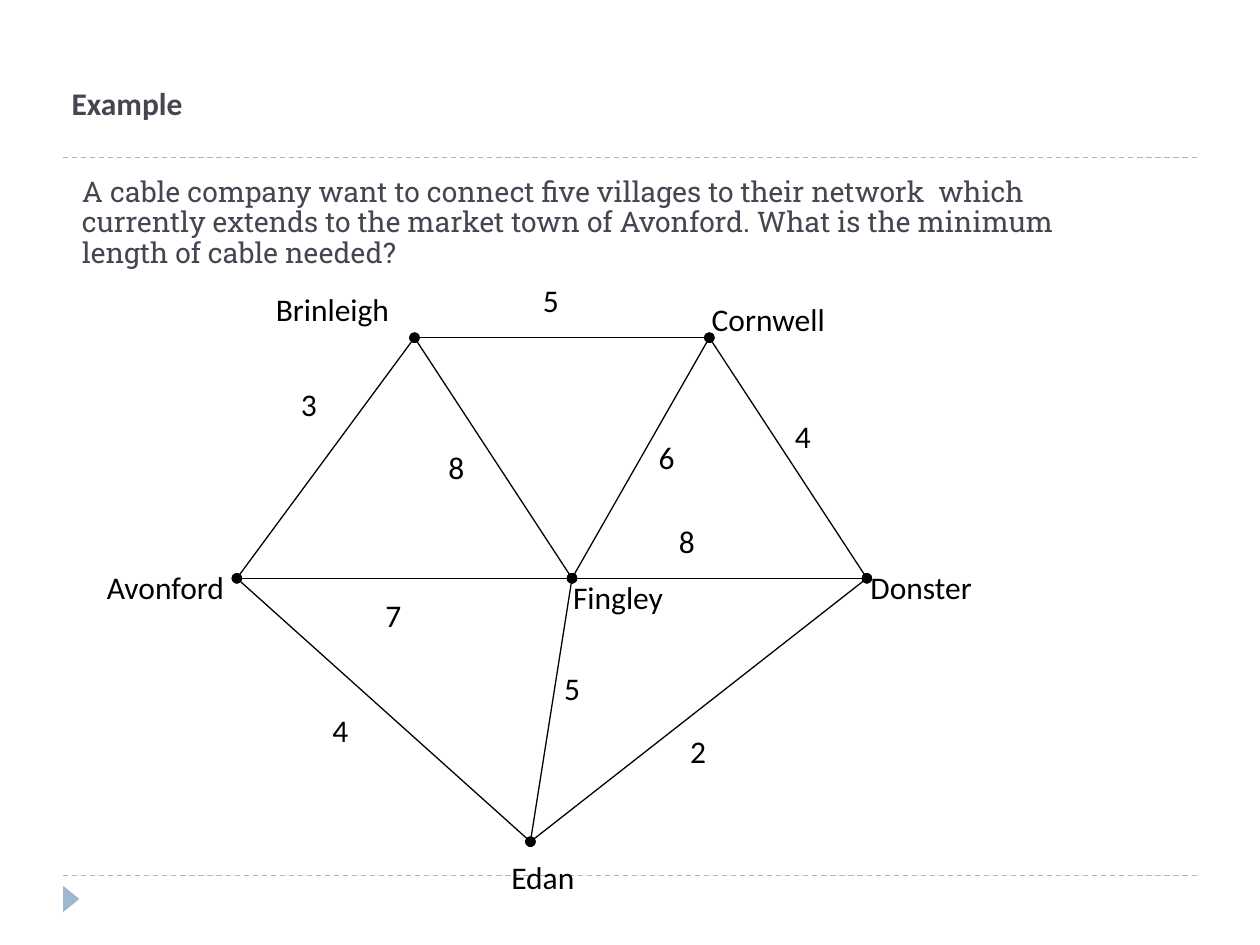
from dataclasses import dataclass

from lxml import etree
from pptx import Presentation
from pptx.dml.color import RGBColor
from pptx.enum.dml import MSO_LINE
from pptx.enum.shapes import MSO_CONNECTOR, MSO_SHAPE
from pptx.enum.text import MSO_ANCHOR, PP_ALIGN
from pptx.oxml.ns import qn
from pptx.util import Emu, Pt

STRAIGHT = MSO_CONNECTOR.STRAIGHT
TRIANGLE = MSO_SHAPE.ISOSCELES_TRIANGLE
DASH = MSO_LINE.DASH
BOTTOM = MSO_ANCHOR.BOTTOM
LEFT = PP_ALIGN.LEFT
PX = 9144  # 100 px to the inch


@dataclass(frozen=True)
class Theme:
    accent: RGBColor = RGBColor(0x9F, 0xB8, 0xCD)
    heading: RGBColor = RGBColor(0x46, 0x46, 0x53)
    ink: RGBColor = RGBColor(0, 0, 0)
    title_font: str = "Roboto Slab"
    label_font: str = "Calibri"
    title_size: float = 16.2
    label_size: float = 18
    line_width: float = 0.75


THEME = Theme()

QUESTION = ("A cable company want to connect five villages to their network  which "
            "currently extends to the market town of Avonford. "
            "What is the minimum length of cable needed?")

# village: node x, y; label x, y, width
VILLAGES = {
    "Avonford": ((113, 241), (0, 228, 134)),
    "Brinleigh": ((254, 50), (134, 7, 129)),
    "Cornwell": ((488, 50), (480, 15, 142)),
    "Donster": ((613, 241), (606, 228, 151)),
    "Edan": ((346, 450), (321, 458, 104)),
    "Fingley": ((379, 241), (370, 236, 116)),
}

# start, end, cable length, label x, y
CABLES = [
    ("Avonford", "Brinleigh", 3, 154, 83),
    ("Brinleigh", "Cornwell", 5, 346, 0),
    ("Cornwell", "Donster", 4, 546, 108),
    ("Avonford", "Fingley", 7, 221, 250),
    ("Fingley", "Donster", 8, 454, 191),
    ("Brinleigh", "Fingley", 8, 271, 133),
    ("Fingley", "Cornwell", 6, 438, 125),
    ("Avonford", "Edan", 4, 179, 341),
    ("Edan", "Fingley", 5, 363, 308),
    ("Edan", "Donster", 2, 463, 358),
]


def px(*lengths):
    return [Emu(n * PX) for n in lengths]


def add_run(p, text, font, size, color, bold=False):
    r = p.add_run()
    r.text = text
    r.font.name = font
    r.font.size = Pt(size)
    r.font.bold = bold
    r.font.color.rgb = color


def add_line(shapes, start, end, color):
    line = shapes.add_connector(STRAIGHT, *px(*start, *end))
    line.line.color.rgb = color
    line.line.width = Pt(THEME.line_width)
    etree.SubElement(line._element.spPr, qn("a:effectLst"))
    return line


def add_oval_ends(line):
    ln = line.line._get_or_add_ln()
    for end in ("a:headEnd", "a:tailEnd"):
        etree.SubElement(ln, qn(end), type="oval")


def add_label(shapes, box, text, color=THEME.ink, bold=False, wrap=True):
    tf = shapes.add_textbox(*px(*box)).text_frame
    tf.word_wrap = wrap
    add_run(tf.paragraphs[0], text, THEME.label_font, THEME.label_size, color, bold)


def add_frame(s, left, top, width, height):
    """Dashed rules above and below the content, with a marker under the lower one."""
    for y in (top, top + height):
        add_line(s.shapes, (left, y), (left + width, y), THEME.accent).line.dash_style = DASH
    marker = s.shapes.add_shape(TRIANGLE, *px(left - 4, top + height + 12, 21, 13))
    marker.rotation = 90
    marker.shadow.inherit = False
    marker.fill.solid()
    marker.fill.fore_color.rgb = THEME.accent
    marker.line.fill.background()


def add_question(s, left, top, width, height):
    title = s.shapes.title
    title.left, title.top, title.width, title.height = px(left, top, width, height)
    tf = title.text_frame
    tf.word_wrap = True
    tf.vertical_anchor = BOTTOM
    p = tf.paragraphs[0]
    p.alignment = LEFT
    p.line_spacing = 0.9
    add_run(p, QUESTION, THEME.title_font, THEME.title_size, THEME.heading)


def add_network(s, left, top):
    shapes = s.shapes.add_group_shape().shapes

    def place(x, y):
        return left + x, top + y

    for start, end, *_ in CABLES:
        ends = [place(*VILLAGES[name][0]) for name in (start, end)]
        add_oval_ends(add_line(shapes, *ends, THEME.ink))
    for name, (_, (x, y, width)) in VILLAGES.items():
        add_label(shapes, (*place(x, y), width, 43), name)
    for *_, length, x, y in CABLES:
        add_label(shapes, (*place(x, y), 50, 50), str(length))


def main():
    prs = Presentation()
    prs.slide_width, prs.slide_height = px(1000, 750)
    s = prs.slides.add_slide(prs.slide_layouts[5])
    add_frame(s, 50, 125, 900, 570)
    add_question(s, 55, 125, 850, 94)
    add_network(s, 75, 218)
    add_label(s.shapes, (47, 62, 157, 50), "Example", THEME.heading, bold=True, wrap=False)
    prs.save("out.pptx")


if __name__ == "__main__":
    main()
